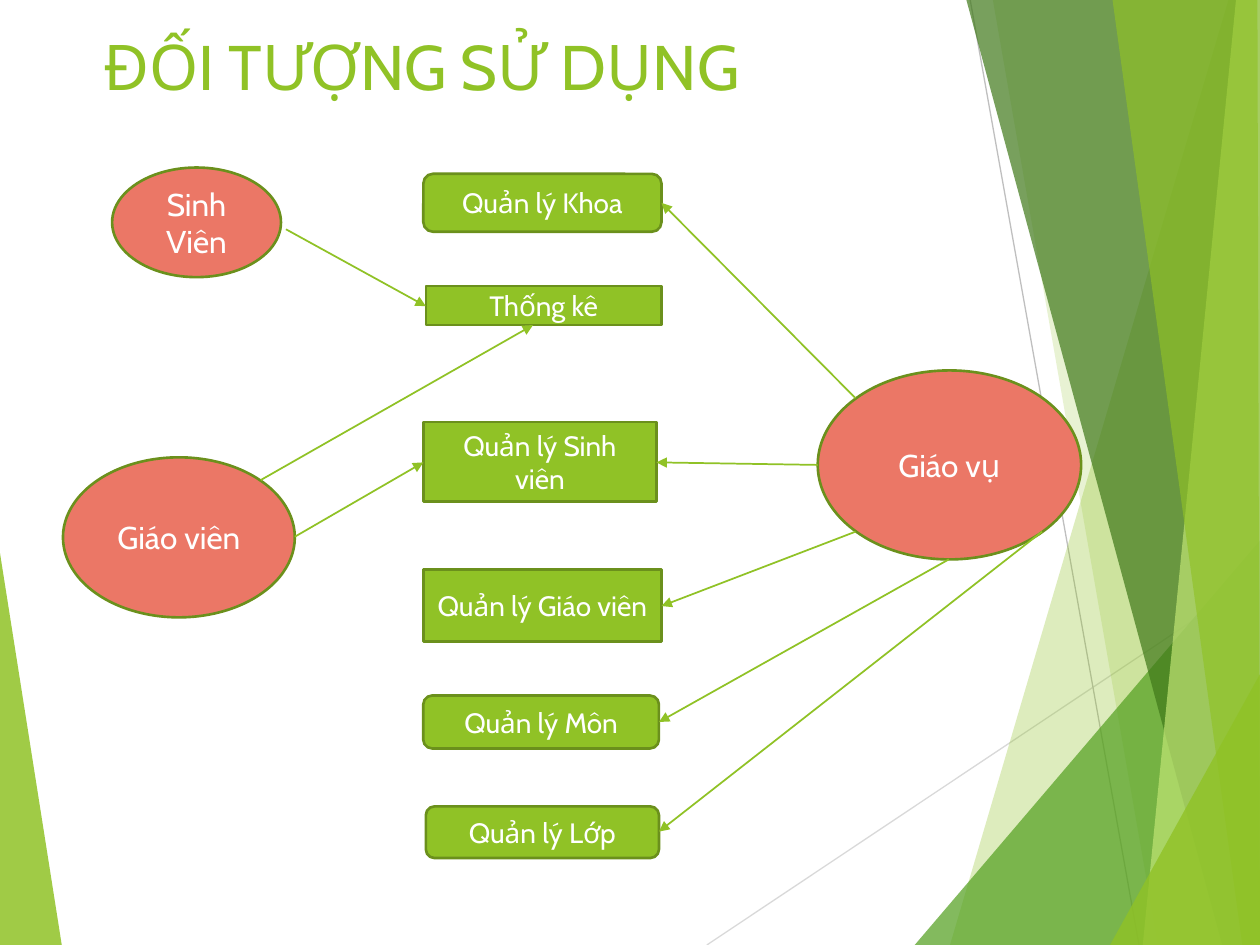
import pptx
import pptx.dml.color
import pptx.enum.shapes
import pptx.enum.text
import pptx.oxml.ns
import pptx.util
from lxml import etree

RGB = pptx.dml.color.RGBColor
SHAPE = pptx.enum.shapes.MSO_SHAPE
ALIGN = pptx.enum.text.PP_ALIGN
MIDDLE = pptx.enum.text.MSO_ANCHOR.MIDDLE
qn = pptx.oxml.ns.qn

GREEN = RGB(0x90, 0xC2, 0x26)
MID_GREEN = RGB(0x54, 0xA0, 0x21)
DARK_GREEN = RGB(0x3F, 0x78, 0x19)
PALE_GREEN = RGB(0xC0, 0xE4, 0x74)
OUTLINE = RGB(0x6B, 0x90, 0x1C)
CORAL = RGB(0xEB, 0x77, 0x66)
WHITE = RGB(0xFF, 0xFF, 0xFF)
LIGHT_GRAY = RGB(0xD9, 0xD9, 0xD9)
GRAY = RGB(0xBF, 0xBF, 0xBF)

EMU_PER_PX = 9144
WIDTH, HEIGHT = 1000, 750


def px(n):
    """Turn px, 100 to the inch, into EMU."""
    return pptx.util.Emu(n * EMU_PER_PX)


class Deck:
    """Hold the style and the current slide."""

    font = "Cabin"

    def __init__(self):
        self.prs = pptx.Presentation()
        self.prs.slide_width, self.prs.slide_height = px(WIDTH), px(HEIGHT)
        self.s = self.prs.slides.add_slide(self.prs.slide_layouts[5])

    def set_text(self, sp, text, size, color, align):
        """Put one styled paragraph in a shape."""
        tf = sp.text_frame
        tf.word_wrap = True
        tf.vertical_anchor = MIDDLE
        p = tf.paragraphs[0]
        p.text = text
        p.alignment = align
        p.font.name = self.font
        p.font.size = pptx.util.Pt(size)
        p.font.color.rgb = color

    def title(self, text, x, y, w, h):
        """Move and fill the title placeholder."""
        sp = self.s.shapes.title
        sp.left, sp.top, sp.width, sp.height = map(px, (x, y, w, h))
        self.set_text(sp, text, 36, GREEN, ALIGN.LEFT)

    def facet(self, points, color, opacity):
        """Draw a translucent polygon."""
        builder = self.s.shapes.build_freeform(*points[0], scale=EMU_PER_PX)
        builder.add_line_segments(points[1:], close=True)
        sp = builder.convert_to_shape()
        sp.shadow.inherit = False
        sp.line.fill.background()
        sp.fill.solid()
        sp.fill.fore_color.rgb = color
        clr = sp._element.spPr.find(qn("a:solidFill"))[0]
        etree.SubElement(clr, qn("a:alpha"), val=str(opacity * 1000))

    def node(self, kind, text, box, fill, size):
        """Draw an outlined shape with centred text."""
        sp = self.s.shapes.add_shape(kind, *map(px, box))
        sp.shadow.inherit = False
        sp.fill.solid()
        sp.fill.fore_color.rgb = fill
        sp.line.color.rgb = OUTLINE
        sp.line.width = pptx.util.Pt(1.5)
        self.set_text(sp, text, size, WHITE, ALIGN.CENTER)
        return sp

    def actor(self, text, *box):
        """Draw a user as an ellipse."""
        self.node(SHAPE.OVAL, text, box, CORAL, 18)

    def task(self, text, *box, kind=SHAPE.ROUNDED_RECTANGLE, radius=None):
        """Draw a function as a box."""
        sp = self.node(kind, text, box, GREEN, 16)
        if radius is not None:
            sp.adjustments[0] = radius

    def line(self, start, end, color, width):
        """Draw a straight line without a shadow."""
        c = self.s.shapes.add_connector(
            pptx.enum.shapes.MSO_CONNECTOR.STRAIGHT, *map(px, start + end))
        c.line.color.rgb = color
        c.line.width = pptx.util.Pt(width)
        etree.SubElement(c._element.spPr, qn("a:effectLst"))
        return c

    def arrow(self, start, end):
        """Draw a line with an arrowhead at its end."""
        c = self.line(start, end, GREEN, 1)
        ln = c._element.spPr.find(qn("a:ln"))
        etree.SubElement(ln, qn("a:tailEnd"), type="triangle")


def main():
    """Build the slide of users and their functions."""
    d = Deck()
    top_right, bottom_right = (WIDTH, 0), (WIDTH, HEIGHT)

    d.facet([(0, 439), (49, HEIGHT), (0, HEIGHT)], GREEN, 85)
    d.line((561, 750), (1000, 457), LIGHT_GRAY, 0.75)
    d.line((770, 0), (904, 750), GRAY, 0.75)
    for points, color, opacity in (
        ([(975, 0), (754, 750), bottom_right, top_right], GREEN, 30),
        ([(788, 0), (919, 750), bottom_right, top_right], GREEN, 20),
        ([(726, 750), (1000, 429), bottom_right], MID_GREEN, 72),
        ([(767, 0), (970, 750), bottom_right, top_right], DARK_GREEN, 70),
        ([(981, 0), (907, 750), bottom_right, top_right], PALE_GREEN, 70),
        ([(883, 0), (986, 750), bottom_right, (998, 0)], GREEN, 65),
        ([(881, 750), (1000, 535), bottom_right], GREEN, 80),
    ):
        d.facet(points, color, opacity)

    d.title("ĐỐI TƯỢNG SỬ DỤNG", 72, 14, 694, 76)

    d.actor("Sinh Viên", 89, 133, 134, 87)
    d.actor("Giáo viên", 50, 363, 184, 127)
    d.actor("Giáo vụ", 649, 294, 209, 150)

    d.task("Quản lý Khoa", 336, 138, 189, 46)
    d.task("Thống kê", 338, 227, 187, 31, kind=SHAPE.RECTANGLE)
    d.task("Quản lý Sinh viên", 336, 335, 185, 63, radius=0)
    d.task("Quản lý Giáo viên", 336, 452, 189, 57, radius=0)
    d.task("Quản lý Môn", 336, 552, 187, 42)
    d.task("Quản lý Lớp", 338, 640, 185, 41)

    for start, end in (
        ((227, 182), (338, 243)),
        ((679, 316), (525, 161)),
        ((649, 369), (521, 367)),
        ((679, 422), (525, 481)),
        ((753, 444), (523, 573)),
        ((827, 422), (523, 660)),
        ((207, 381), (423, 258)),
        ((234, 426), (336, 367)),
    ):
        d.arrow(start, end)

    d.prs.save("out.pptx")


if __name__ == "__main__":
    main()
